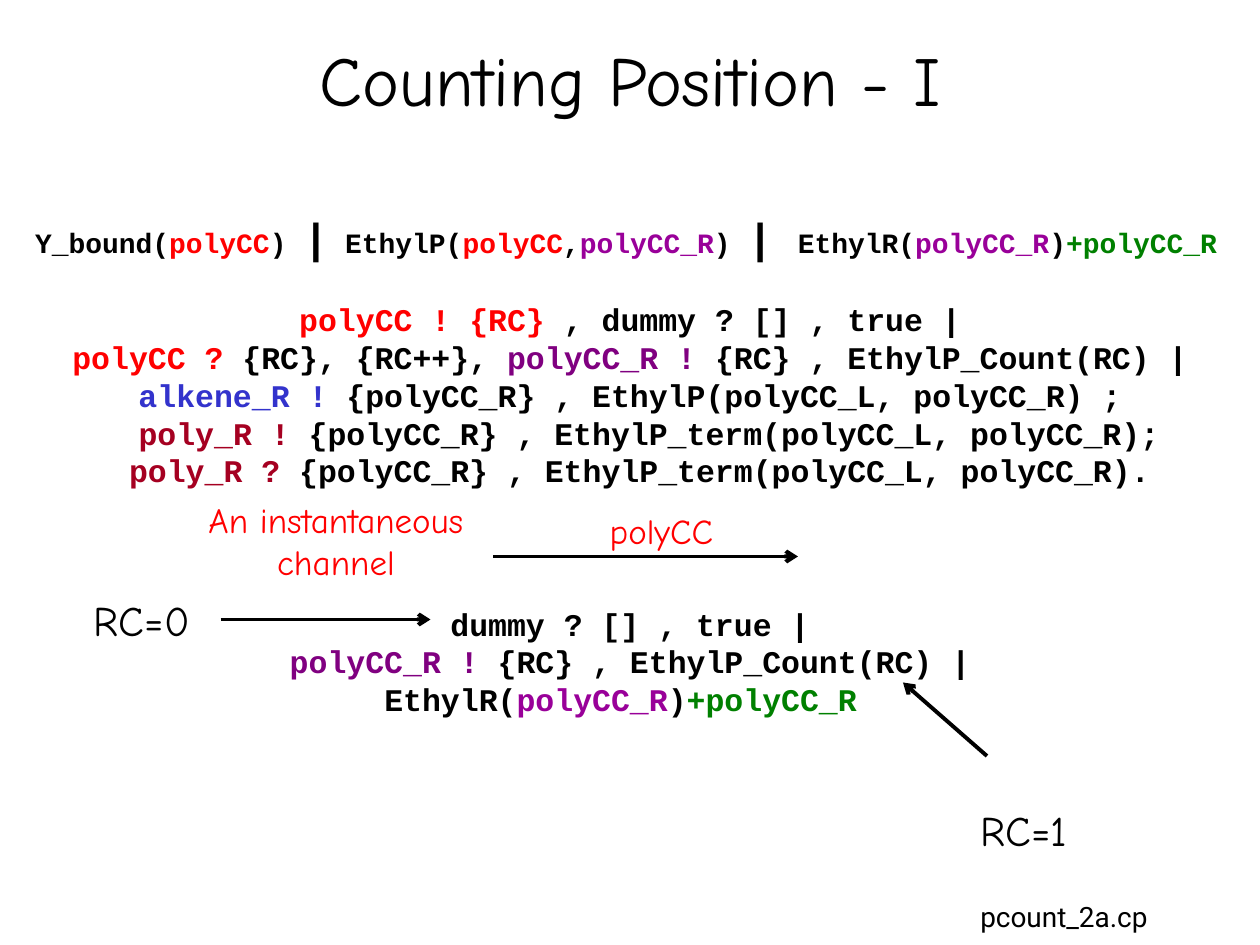
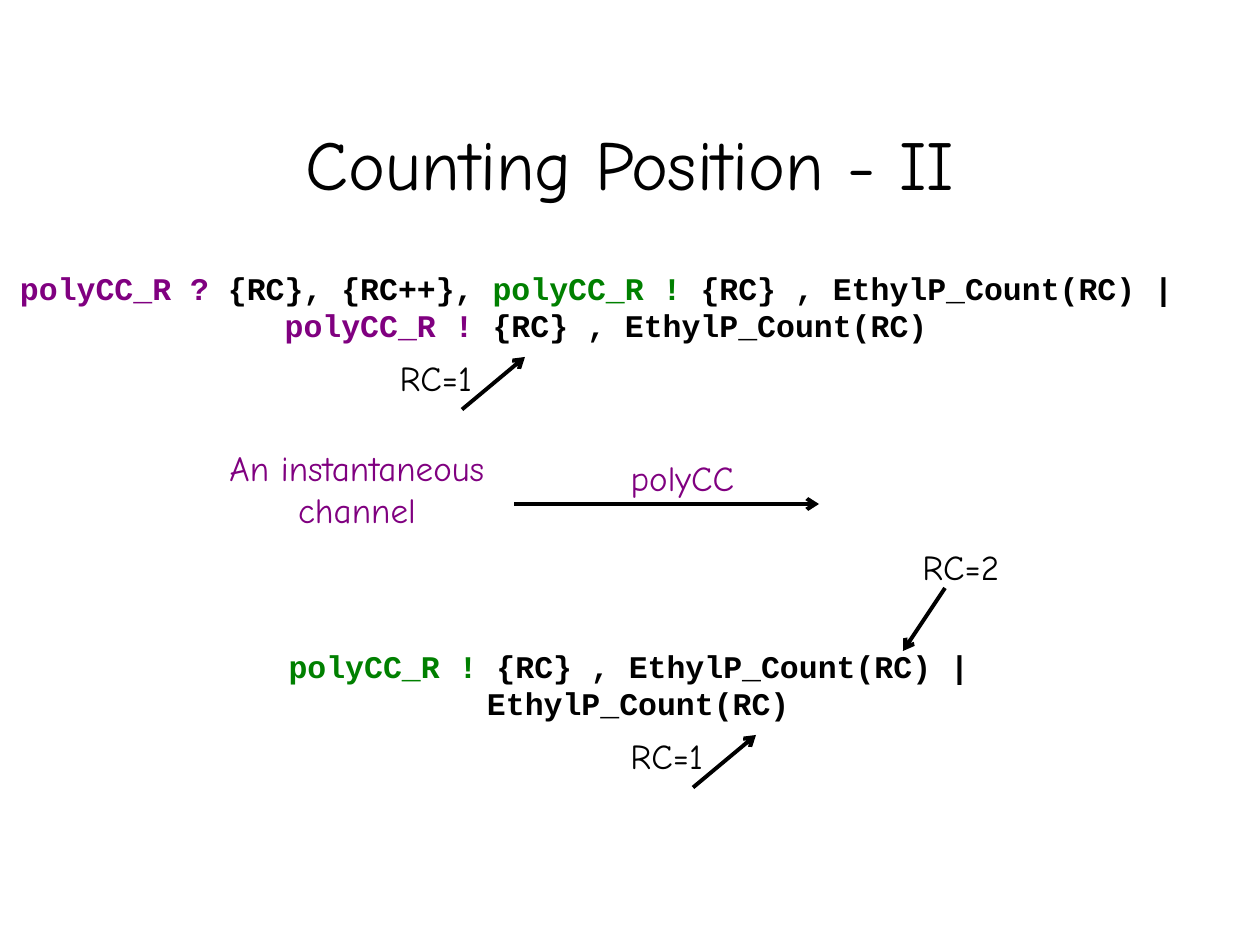
from lxml import etree
from pptx import Presentation
from pptx.dml.color import RGBColor
from pptx.enum import shapes, text
from pptx.oxml import ns
from pptx.util import Pt

BLACK = "000000"
RED = "FF0000"
PURPLE = "800080"
VIOLET = "990099"
GREEN = "008000"
BLUE = "3333CC"
CRIMSON = "A50021"

HAND_FONT = "Comic Neue"
CODE_FONT = "Courier New"
FILE_FONT = "Roboto"
CENTER = text.PP_ALIGN.CENTER


def color(hex_string):
    return RGBColor.from_string(hex_string)


def style(font, name, size, hex_string=BLACK, bold=False):
    font.name = name
    font.size = Pt(size)
    font.bold = bold
    font.color.rgb = color(hex_string)


def add_titled_slide(presentation, title, top):
    slide = presentation.slides.add_slide(presentation.slide_layouts[5])
    shape = slide.shapes.title
    shape.left, shape.top, shape.width, shape.height = Pt(54), Pt(top), Pt(612), Pt(90)
    frame = shape.text_frame
    frame.text = title
    frame.auto_size = text.MSO_AUTO_SIZE.NONE
    frame.vertical_anchor = text.MSO_ANCHOR.MIDDLE
    paragraph = frame.paragraphs[0]
    paragraph.alignment = CENTER
    style(paragraph.runs[0].font, HAND_FONT, 40)
    return slide


def add_frame(slide, left, top, width, height, wrap=False):
    shape = slide.shapes.add_textbox(Pt(left), Pt(top), Pt(width), Pt(height))
    shape.text_frame.word_wrap = wrap
    return shape.text_frame


def add_label(slide, words, left, top, width=90, height=36, size=20,
              hex_string=BLACK, wrap=False, name=HAND_FONT):
    frame = add_frame(slide, left, top, width, height, wrap)
    frame.text = words
    frame.vertical_anchor = text.MSO_ANCHOR.MIDDLE
    paragraph = frame.paragraphs[0]
    paragraph.alignment = CENTER
    style(paragraph.runs[0].font, name, size, hex_string)


def add_code(slide, lines, left, top, width, height, wrap=False, size=18, alignment=CENTER):
    frame = add_frame(slide, left, top, width, height, wrap)
    for index, pieces in enumerate(lines):
        paragraph = frame.add_paragraph() if index else frame.paragraphs[0]
        paragraph.alignment = alignment
        for code, hex_string, *own_size in pieces:
            run = paragraph.add_run()
            run.text = code
            style(run.font, CODE_FONT, own_size[0] if own_size else size, hex_string, True)


def add_arrow(slide, start_x, start_y, end_x, end_y):
    connector = slide.shapes.add_connector(
        shapes.MSO_CONNECTOR.STRAIGHT, Pt(start_x), Pt(start_y), Pt(end_x), Pt(end_y))
    connector.line.color.rgb = color(BLACK)
    connector.line.width = Pt(2.25)
    properties = connector.element.spPr
    line = properties.find(ns.qn("a:ln"))
    etree.SubElement(line, ns.qn("a:tailEnd"), type="arrow")
    etree.SubElement(properties, ns.qn("a:effectLst"))


def add_channel_step(slide, left, top, hex_string):
    add_label(slide, "An instantaneous channel", left, top, 216, 54,
              hex_string=hex_string, wrap=True)
    add_label(slide, "polyCC", left + 186, top - 6, 216, 54, hex_string=hex_string)
    add_arrow(slide, left + 198, top + 36, left + 372, top + 36)


def add_count_below(slide, left, top):
    add_label(slide, "RC=1", left, top)
    add_arrow(slide, left + 60, top + 36, left + 96, top + 6)


def build_position_one(presentation):
    slide = add_titled_slide(presentation, "Counting Position - I", 0)
    molecule = [
        ("Y_bound(", BLACK), ("polyCC", RED), (") ", BLACK), ("|", BLACK, 24),
        (" EthylP(", BLACK), ("polyCC", RED), (",", BLACK), ("polyCC_R", VIOLET),
        (") ", BLACK), ("| ", BLACK, 24), ("EthylR(", BLACK), ("polyCC_R", VIOLET),
        (")", BLACK), ("+polyCC_R", GREEN),
    ]
    add_code(slide, [molecule], 13, 117.4, 690, 36, size=16, alignment=text.PP_ALIGN.LEFT)
    before = [
        [("polyCC ! {RC}", RED), (" , dummy ? [] , true |", BLACK)],
        [("polyCC ?", RED), (" {RC}, {RC++}, ", BLACK), ("polyCC_R !", PURPLE),
         (" {RC} , EthylP_Count(RC) |", BLACK)],
        [("alkene_R !", BLUE), (" {polyCC_R} , EthylP(polyCC_L, polyCC_R) ;", BLACK)],
        [("  ", BLACK), ("poly_R !", CRIMSON),
         (" {polyCC_R} , EthylP_term(polyCC_L, polyCC_R);", BLACK)],
        [("  ", BLACK), ("poly_R ?", CRIMSON),
         (" {polyCC_R} , EthylP_term(polyCC_L, polyCC_R). ", BLACK)],
    ]
    add_code(slide, before, 0, 168, 720, 158, wrap=True)
    add_channel_step(slide, 84, 282, RED)
    after = [
        [("dummy ? [] , true |", BLACK)],
        [("polyCC_R !", PURPLE), (" {RC} , EthylP_Count(RC) |", BLACK)],
        [("EthylR(", BLACK), ("polyCC_R", VIOLET), (")", BLACK), ("+polyCC_R ", GREEN)],
    ]
    add_code(slide, after, 0, 342, 720, 94, wrap=True)
    add_label(slide, "RC=0", 36, 336, size=24)
    add_label(slide, "RC=1", 540, 456, size=24)
    add_arrow(slide, 564, 432, 516, 390)
    add_arrow(slide, 126, 354, 246, 354)
    add_label(slide, "pcount_2a.cp", 551, 510, 114, 27, size=16, name=FILE_FONT)


def build_position_two(presentation):
    slide = add_titled_slide(presentation, "Counting Position - II", 48)
    before = [
        [("polyCC_R ?", PURPLE), (" {RC}, {RC++}, ", BLACK), ("polyCC_R !", GREEN),
         (" {RC} , EthylP_Count(RC) | ", BLACK)],
        [("polyCC_R !", PURPLE), (" {RC} , EthylP_Count(RC)", BLACK)],
    ]
    add_code(slide, before, 4.3, 150, 684, 50)
    add_count_below(slide, 204, 198)
    add_channel_step(slide, 96, 252, PURPLE)
    after = [
        [("polyCC_R !", GREEN), (" {RC} , EthylP_Count(RC) | ", BLACK)],
        [("EthylP_Count(RC)", BLACK)],
    ]
    add_code(slide, after, 157.7, 366, 414, 50)
    add_count_below(slide, 336, 414)
    add_label(slide, "RC=2", 504, 306)
    add_arrow(slide, 540, 336, 516, 372)


def main():
    presentation = Presentation()
    presentation.slide_width, presentation.slide_height = Pt(720), Pt(540)
    build_position_one(presentation)
    build_position_two(presentation)
    presentation.save("out.pptx")


if __name__ == "__main__":
    main()
